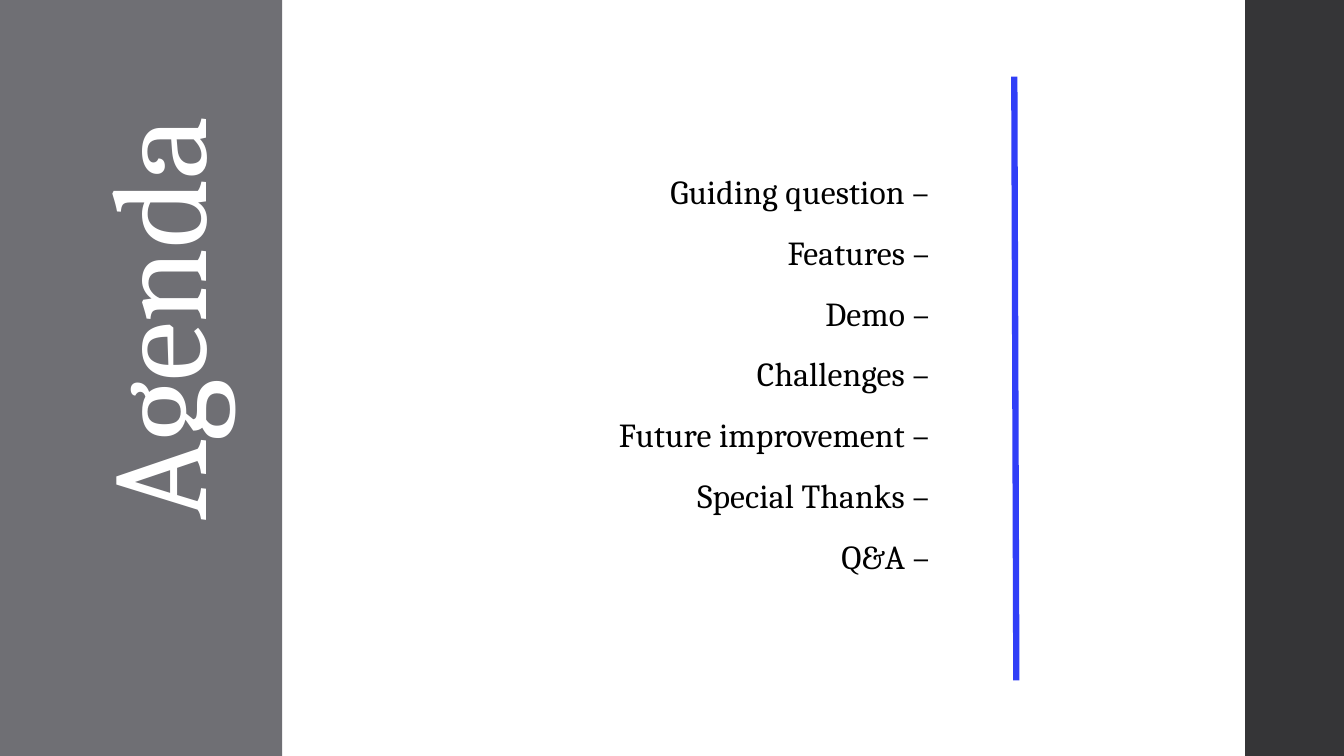
from lxml import etree
from pptx import Presentation
from pptx.dml.color import RGBColor
from pptx.enum.shapes import MSO_CONNECTOR, MSO_SHAPE
from pptx.enum.text import MSO_ANCHOR, MSO_AUTO_SIZE, PP_ALIGN
from pptx.oxml.ns import qn
from pptx.util import Inches, Pt

RECTANGLE = MSO_SHAPE.RECTANGLE
STRAIGHT = MSO_CONNECTOR.STRAIGHT
BOTTOM, MIDDLE = MSO_ANCHOR.BOTTOM, MSO_ANCHOR.MIDDLE
NO_FIT = MSO_AUTO_SIZE.NONE
RIGHT = PP_ALIGN.RIGHT

WHITE = RGBColor(0xFF, 0xFF, 0xFF)
BLACK = RGBColor(0x00, 0x00, 0x00)
GREY = RGBColor(0x6F, 0x6F, 0x74)
CHARCOAL = RGBColor(0x35, 0x35, 0x37)
BLUE = RGBColor(0x30, 0x3E, 0xF7)

WIDTH, HEIGHT = 13.33, 7.5
FONT = "Cambria"
TOPICS = [
    "Guiding question –",
    "Features –",
    "Demo –",
    "Challenges –",
    "Future improvement –",
    "Special Thanks –",
    "Q&A –",
]
TITLE_FONT = {"name": FONT, "size": Pt(96)}
TITLE_PARAGRAPH = {"alignment": RIGHT, "line_spacing": 0.9}
TOPIC_FONT = {"name": FONT, "size": Pt(24)}
TOPIC_PARAGRAPH = {
    "alignment": RIGHT,
    "line_spacing": 0.95,
    "space_before": Pt(14),
    "space_after": Pt(2),
}


def apply_format(target, values):
    for name, value in values.items():
        setattr(target, name, value)


def place(shape, box):
    edges = ("left", "top", "width", "height")
    apply_format(shape, dict(zip(edges, map(Inches, box))))


def prepare_frame(frame, anchor):
    apply_format(frame, {"word_wrap": True, "auto_size": NO_FIT, "vertical_anchor": anchor})


def write_span(para, text, font_format, color, spacing):
    span = para.add_run()
    span.text = text
    apply_format(span.font, font_format)
    span.font.color.rgb = color
    span.font._element.set("spc", str(spacing))


def add_band(slide, box, color):
    band = slide.shapes.add_shape(RECTANGLE, *map(Inches, box))
    band.shadow.inherit = False
    band.fill.solid()
    band.fill.fore_color.rgb = color
    band.line.fill.background()
    return band


def add_backdrop(slide, box):
    left, top, width, height = box
    bands = [(0, width, WHITE), (0, 2.8, GREY)]
    for offset, band_width, color in bands:
        band = add_band(slide, (left + offset, top, band_width, height), color)
        slide.shapes.title.element.addprevious(band.element)


def add_title(slide, box):
    title = slide.shapes.title
    place(title, box)
    title.rotation = 270
    prepare_frame(title.text_frame, BOTTOM)
    para = title.text_frame.paragraphs[0]
    apply_format(para, TITLE_PARAGRAPH)
    write_span(para, "Agenda", TITLE_FONT, WHITE, -50)


def add_topics(slide, box):
    body = slide.placeholders[1]
    place(body, box)
    frame = body.text_frame
    prepare_frame(frame, MIDDLE)
    for index, topic in enumerate(TOPICS):
        para = frame.add_paragraph() if index else frame.paragraphs[0]
        apply_format(para, TOPIC_PARAGRAPH)
        properties = para._p.get_or_add_pPr()
        properties.set("marL", "0")
        properties.set("indent", "0")
        etree.SubElement(properties, qn("a:buNone"))
        write_span(para, topic, TOPIC_FONT, BLACK, 10)


def add_divider(slide, box):
    left, top, width, height = box
    ends = (left + width, top + height, left, top)
    divider = slide.shapes.add_connector(STRAIGHT, *map(Inches, ends))
    divider.line.color.rgb = BLUE
    divider.line.width = Pt(4.5)
    etree.SubElement(divider.element.spPr, qn("a:effectLst"))


def add_agenda_slide(deck, box):
    left, top, width, height = box
    slide = deck.slides.add_slide(deck.slide_layouts[1])
    add_backdrop(slide, box)
    add_title(slide, (left - 1.45, top + 2.75, 5.53, 2.14))
    add_topics(slide, (left + 3.43, top + 0.88, 5.89, 5.69))
    add_band(slide, (left + width - 0.98, top, 0.98, height), CHARCOAL)
    add_divider(slide, (left + 10.06, top + 0.76, 0.02, 5.99))


def main():
    deck = Presentation()
    deck.slide_width = Inches(WIDTH)
    deck.slide_height = Inches(HEIGHT)
    add_agenda_slide(deck, (0, 0, WIDTH, HEIGHT))
    deck.save("out.pptx")


if __name__ == "__main__":
    main()
